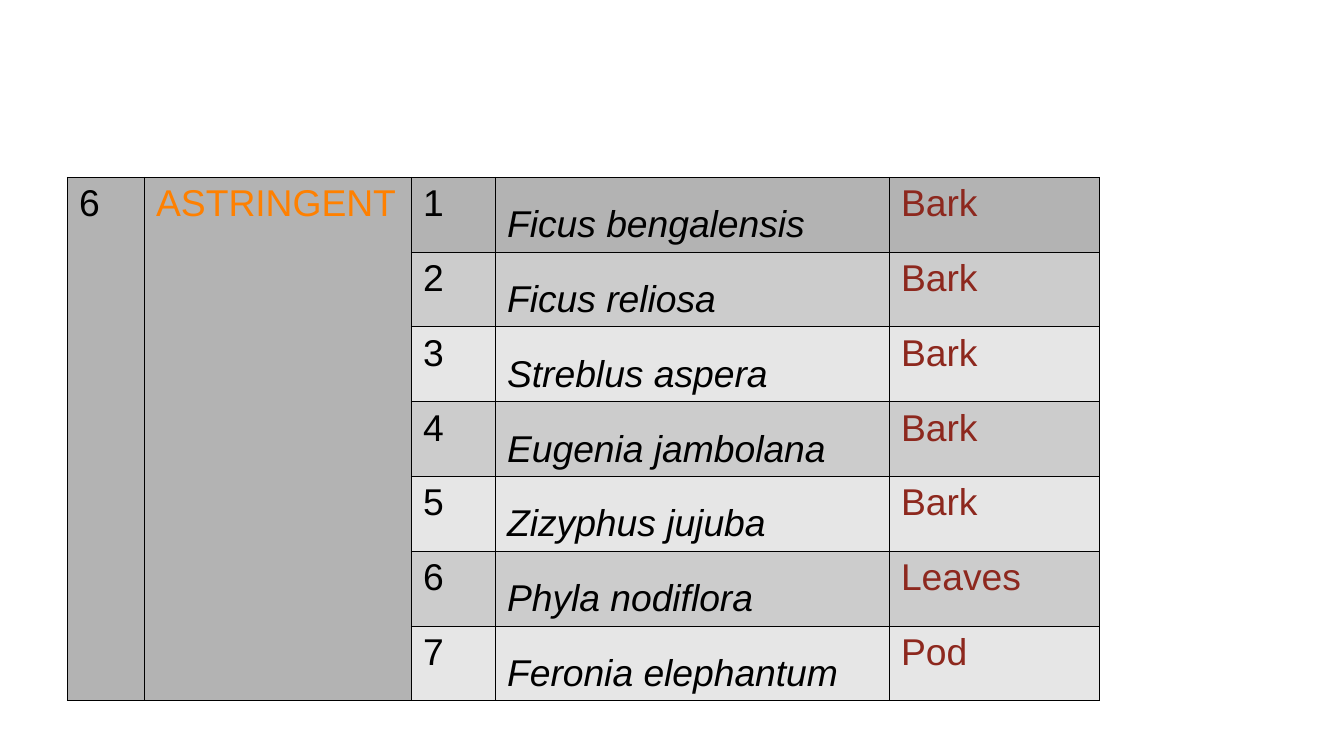
from dataclasses import dataclass

from lxml.etree import SubElement
from pptx import Presentation
from pptx.dml.color import RGBColor
from pptx.oxml.ns import qn
from pptx.table import Table, _Cell
from pptx.util import Emu, Pt

EMU_PER_PX = 7495
COLORS = {
    "black": "000000",
    "orange": "FF8000",
    "maroon": "8D281E",
    "header": "B3B3B3",
    "odd": "CCCCCC",
    "even": "E6E6E6",
}
COLUMN_WIDTHS = (77, 267, 84, 394, 210)
ROW_HEIGHT = 74
BORDER_EMU = 762


@dataclass(frozen=True)
class Plant:
    species: str
    organ: str


PLANTS = (
    Plant("Ficus bengalensis", "Bark"),
    Plant("Ficus reliosa", "Bark"),
    Plant("Streblus aspera", "Bark"),
    Plant("Eugenia jambolana", "Bark"),
    Plant("Zizyphus jujuba", "Bark"),
    Plant("Phyla nodiflora", "Leaves"),
    Plant("Feronia elephantum", "Pod"),
)


def px(length: int) -> Emu:
    return Emu(length * EMU_PER_PX)


def add_borders(cell: _Cell) -> None:
    properties = cell._tc.get_or_add_tcPr()
    for side in ("lnL", "lnR", "lnT", "lnB"):
        border = SubElement(properties, qn(f"a:{side}"), w=str(BORDER_EMU))
        fill = SubElement(border, qn("a:solidFill"))
        SubElement(fill, qn("a:srgbClr"), val=COLORS["black"])


def write_cell(cell: _Cell, text: str, color: str = "black", italic: bool = False) -> None:
    cell.text = text
    paragraph = cell.text_frame.paragraphs[0]
    font = paragraph.font
    font.name, font.size = "Arial", Pt(22)
    font.bold, font.italic = False, italic
    font.color.rgb = RGBColor.from_string(COLORS[color])
    if italic:
        paragraph.line_spacing = 1.5


def row_fill(row: int) -> str:
    if row == 0:
        return COLORS["header"]
    return COLORS["odd" if row % 2 else "even"]


def format_grid(table: Table) -> None:
    table.first_row = table.horz_banding = False
    for column, width in zip(table.columns, COLUMN_WIDTHS):
        column.width = px(width)
    for row_index, row in enumerate(table.rows):
        row.height = px(ROW_HEIGHT)
        for column_index, cell in enumerate(row.cells):
            add_borders(cell)
            cell.fill.solid()
            fill = COLORS["header"] if column_index < 2 else row_fill(row_index)
            cell.fill.fore_color.rgb = RGBColor.from_string(fill)


def main() -> None:
    presentation = Presentation()
    presentation.slide_width, presentation.slide_height = px(1344), px(756)
    slide = presentation.slides.add_slide(presentation.slide_layouts[6])

    # Table grid
    plant_table = slide.shapes.add_table(
        len(PLANTS), len(COLUMN_WIDTHS), px(67), px(177),
        px(sum(COLUMN_WIDTHS)), px(ROW_HEIGHT * len(PLANTS)),
    ).table
    format_grid(plant_table)

    # Property group spanning every plant
    for column, (text, color) in enumerate((("6", "black"), ("ASTRINGENT", "orange"))):
        group = plant_table.cell(0, column)
        group.merge(plant_table.cell(len(PLANTS) - 1, column))
        write_cell(group, text, color)

    # Plants and the organs used
    for row, plant in enumerate(PLANTS):
        write_cell(plant_table.cell(row, 2), str(row + 1))
        write_cell(plant_table.cell(row, 3), plant.species, italic=True)
        write_cell(plant_table.cell(row, 4), plant.organ, "maroon")

    presentation.save("out.pptx")


if __name__ == "__main__":
    main()
